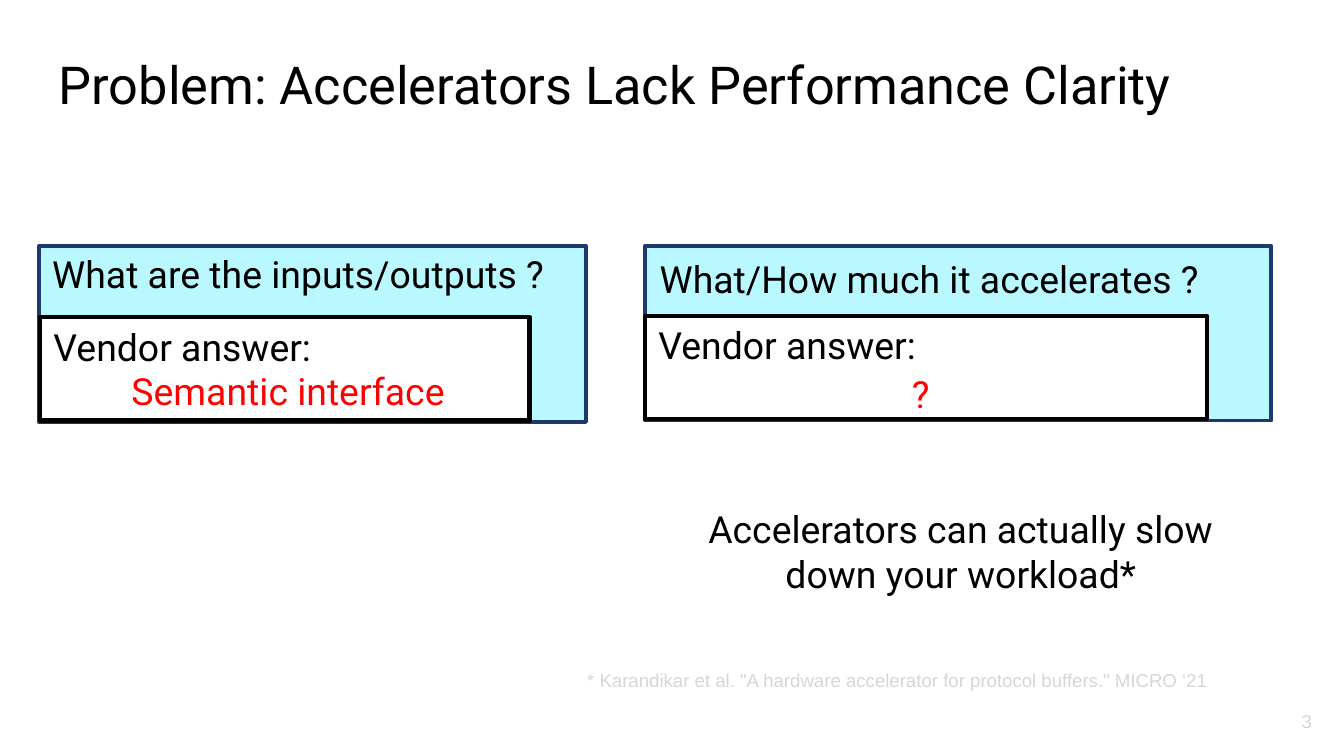
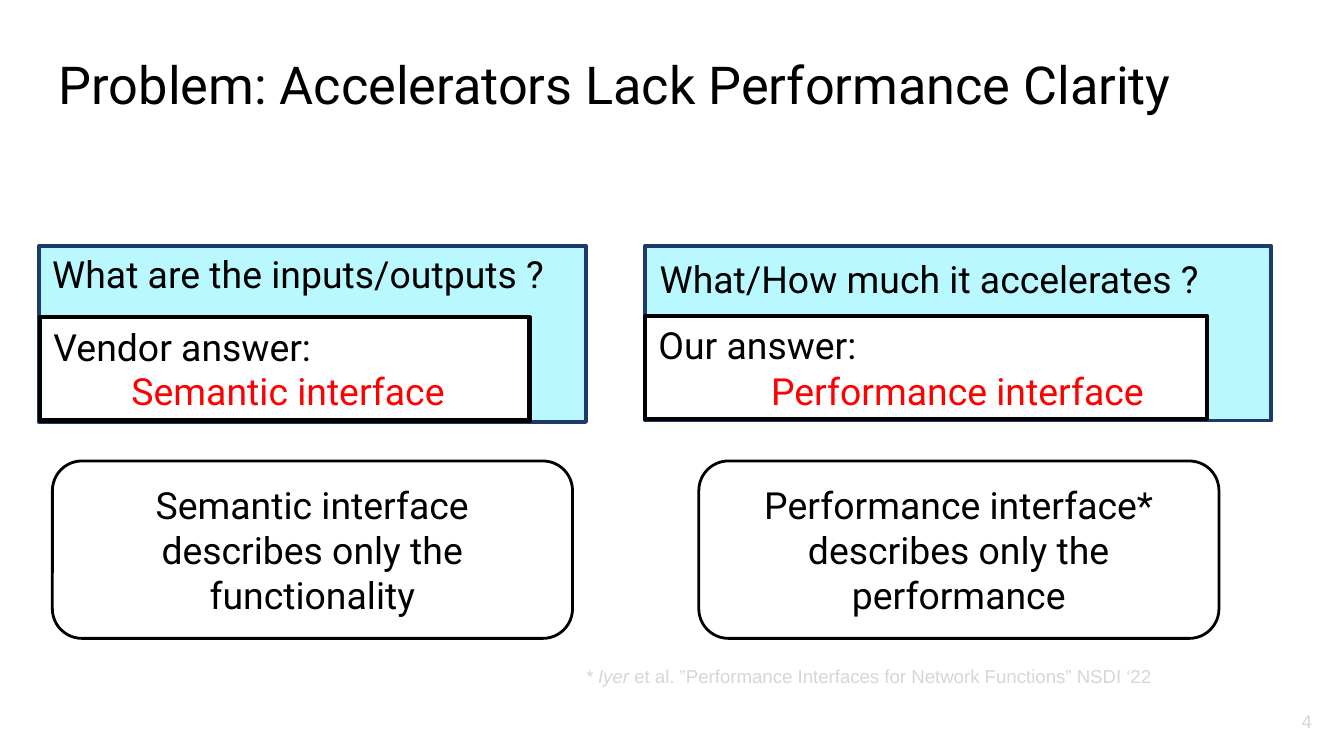
from dataclasses import dataclass
from typing import Optional

from pptx import Presentation
from pptx import util as u
from pptx.dml.color import RGBColor
from pptx.enum import shapes, text

BLACK = RGBColor(0x00, 0x00, 0x00)
WHITE = RGBColor(0xFF, 0xFF, 0xFF)
RED = RGBColor(0xFF, 0x00, 0x00)
CYAN = RGBColor(0xBA, 0xF8, 0xFF)
NAVY = RGBColor(0x1D, 0x3A, 0x6B)
GREY = RGBColor(0xD6, 0xD6, 0xD6)

SLIDE_W, SLIDE_H = u.Inches(10), u.Inches(5.625)
COLUMNS, ROWS = 100, 56.25
RECT = shapes.MSO_SHAPE.RECTANGLE
ROUNDED = shapes.MSO_SHAPE.ROUNDED_RECTANGLE
LEFT, CENTER, RIGHT = text.PP_ALIGN.LEFT, text.PP_ALIGN.CENTER, text.PP_ALIGN.RIGHT
TOP, MIDDLE = text.MSO_ANCHOR.TOP, text.MSO_ANCHOR.MIDDLE


@dataclass(frozen=True)
class Area:
    """A place on the grid, in columns and rows."""
    col: float
    row: float
    cols: float
    rows: float

    def emu(self) -> tuple[int, int, int, int]:
        across, down = SLIDE_W / COLUMNS, SLIDE_H / ROWS
        return (round(self.col * across), round(self.row * down),
                round(self.cols * across), round(self.rows * down))


@dataclass(frozen=True)
class Style:
    size: float = 20
    color: RGBColor = BLACK
    font: str = "Roboto"
    align: text.PP_ALIGN = LEFT
    anchor: text.MSO_ANCHOR = TOP
    inset_y: float = 0.05


@dataclass(frozen=True)
class Outline:
    color: RGBColor
    width: float


@dataclass(frozen=True)
class Question:
    wording: str
    panel: Area
    heading: Area
    answer_box: Area


@dataclass(frozen=True)
class Answer:
    giver: str
    wording: str
    area: Area


@dataclass(frozen=True)
class Remark:
    wording: str
    area: Area
    outline: Optional[Outline] = None


@dataclass(frozen=True)
class Page:
    number: int
    answers: tuple[Answer, ...]
    remarks: tuple[Remark, ...]
    citation: tuple[str, str]  # italic part, upright part
    citation_area: Area


TITLE = "Problem: Accelerators Lack Performance Clarity"
TITLE_AREA = Area(3.4, 2.9, 96.6, 5)
NUMBER_AREA = Area(92.4, 51, 6.2, 5.3)

TITLE_STYLE = Style(size=28, inset_y=0.1)
BODY = Style()
ANSWER = Style(color=RED, align=CENTER)
REMARK = Style(align=CENTER, anchor=MIDDLE, inset_y=0.1)
CITATION = Style(10, GREY, "Arial")
NUMBER = Style(10, GREY, "Arial", RIGHT, MIDDLE, 0.1)

PANEL_LINE = Outline(NAVY, 2)
ANSWER_LINE = Outline(BLACK, 2.25)
REMARK_LINE = Outline(BLACK, 1.5)

QUESTIONS = (
    Question("What are the inputs/outputs ?", Area(2.9, 18.3, 40.7, 13.1),
             Area(2.9, 18.2, 40.7, 4.4), Area(3, 23.6, 36.4, 7.7)),
    Question("What/How much it accelerates ?", Area(48, 18.3, 46.6, 13),
             Area(48.1, 18.6, 44, 4.4), Area(48, 23.5, 41.8, 7.7)),
)
SEMANTIC = Answer("Vendor answer:", "Semantic interface", Area(5, 26.9, 32.9, 4.4))
PAGES = (
    Page(3,
         (SEMANTIC, Answer("Vendor answer:", "?", Area(53.1, 27.1, 30.8, 4.4))),
         (Remark("Accelerators can actually slow down your workload*",
                 Area(50.6, 34.6, 41.8, 12.8)),),
         ("", "* Karandikar et al. \"A hardware accelerator for protocol buffers.\" MICRO ‘21"),
         Area(42.7, 49.3, 52.9, 2.7)),
    Page(4,
         (SEMANTIC, Answer("Our answer:", "Performance interface",
                           Area(51.5, 26.9, 39.5, 4.4))),
         (Remark("Semantic interface\ndescribes only the functionality",
                 Area(3.9, 34.3, 38.7, 13.2), REMARK_LINE),
          Remark("Performance interface* describes only the performance",
                 Area(52, 34.3, 38.7, 13.2), REMARK_LINE)),
         ("* Iyer ", "et al. ”Performance Interfaces for Network Functions” NSDI ‘22"),
         Area(42.6, 49, 57.4, 2.7)),
)


def write(shape, wording: str, style: Style) -> None:
    frame = shape.text_frame
    frame.text = wording
    frame.word_wrap = True
    frame.vertical_anchor = style.anchor
    frame.margin_left = frame.margin_right = u.Inches(0.1)
    frame.margin_top = frame.margin_bottom = u.Inches(style.inset_y)
    for paragraph in frame.paragraphs:
        paragraph.alignment = style.align
        for run in paragraph.runs:
            format_run(run, style)


def format_run(run, style: Style) -> None:
    run.font.size = u.Pt(style.size)
    run.font.name = style.font
    run.font.color.rgb = style.color


def add_label(slide, area: Area, wording: str, style: Style):
    label = slide.shapes.add_textbox(*area.emu())
    write(label, wording, style)
    return label


def add_block(slide, kind: shapes.MSO_SHAPE, area: Area,
              fill: Optional[RGBColor], outline: Optional[Outline]):
    block = slide.shapes.add_shape(kind, *area.emu())
    block.shadow.inherit = False
    if fill is None:
        block.fill.background()
    else:
        block.fill.solid()
        block.fill.fore_color.rgb = fill
    if outline is None:
        block.line.fill.background()
    else:
        block.line.color.rgb = outline.color
        block.line.width = u.Pt(outline.width)
    return block


def add_question(slide, question: Question, answer: Answer) -> None:
    add_block(slide, RECT, question.panel, CYAN, PANEL_LINE)
    add_label(slide, question.heading, question.wording, BODY)
    answer_box = add_block(slide, RECT, question.answer_box, WHITE, ANSWER_LINE)
    write(answer_box, answer.giver, BODY)
    add_label(slide, answer.area, answer.wording, ANSWER)


def add_remark(slide, remark: Remark) -> None:
    block = add_block(slide, ROUNDED, remark.area, None, remark.outline)
    block.adjustments[0] = 0.167
    write(block, remark.wording, REMARK)


def add_citation(slide, page: Page) -> None:
    italic, upright = page.citation
    label = add_label(slide, page.citation_area, italic or upright, CITATION)
    if italic:
        paragraph = label.text_frame.paragraphs[0]
        paragraph.runs[0].font.italic = True
        rest = paragraph.add_run()
        rest.text = upright
        format_run(rest, CITATION)


def add_page(deck, page: Page) -> None:
    slide = deck.slides.add_slide(deck.slide_layouts[6])
    slide.background.fill.solid()
    slide.background.fill.fore_color.rgb = WHITE
    add_label(slide, TITLE_AREA, TITLE, TITLE_STYLE)
    for question, answer in zip(QUESTIONS, page.answers):
        add_question(slide, question, answer)
    for remark in page.remarks:
        add_remark(slide, remark)
    add_citation(slide, page)
    add_label(slide, NUMBER_AREA, str(page.number), NUMBER)


def main() -> None:
    deck = Presentation()
    deck.slide_width, deck.slide_height = SLIDE_W, SLIDE_H
    for page in PAGES:
        add_page(deck, page)
    deck.save("out.pptx")


if __name__ == "__main__":
    main()
